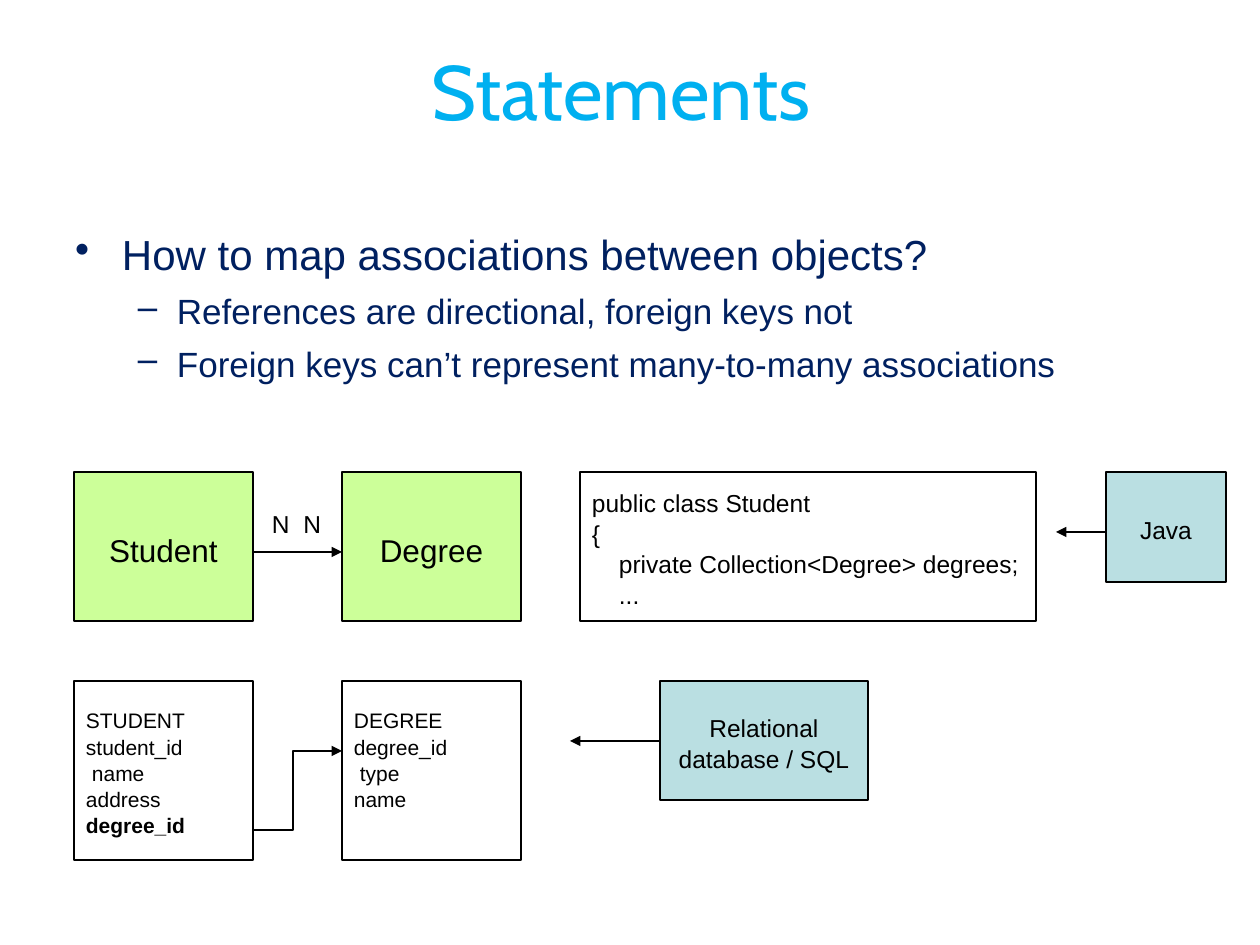
from dataclasses import dataclass
from typing import Any

from lxml.etree import SubElement
from pptx import Presentation
from pptx.dml.color import RGBColor
from pptx.enum.shapes import MSO_CONNECTOR as Link, MSO_SHAPE as Preset
from pptx.enum.text import MSO_ANCHOR as Anchor, MSO_AUTO_SIZE as AutoSize, PP_ALIGN as Align
from pptx.oxml.ns import qn
from pptx.util import Emu, Pt

SCALE = 914400 // 126


@dataclass(frozen=True)
class Theme:
    """Colours, fonts and sizes of the slide."""
    ink: str = "000000"
    title: str = "00B0F0"
    body: str = "002060"
    entity: str = "CCFF99"
    label: str = "BADFE2"
    font: str = "Arial"
    title_font: str = "Cabin"
    title_size: int = 44
    point_size: int = 24
    subpoint_size: int = 20
    entity_size: int = 18
    code_size: int = 14
    table_size: int = 12
    outline: float = 0.75
    arrow: float = 1.1
    spacing: float = 1.04


@dataclass(frozen=True)
class Line:
    """One paragraph, with its indent, bullet and weight."""
    text: str
    indent: int = 0
    hang: int = 0
    bullet: str = ""
    size: int = 0
    before: float = 0
    bold: bool = False


@dataclass(frozen=True)
class Box:
    """A rectangle or, without outline, a plain text box."""
    left: int
    top: int
    width: int
    height: int
    lines: tuple[Line, ...]
    size: int
    inset: int = 0
    margin: int = 0
    fill: str = ""
    colour: str = "000000"
    align: Any = Align.LEFT
    outlined: bool = True


@dataclass(frozen=True)
class Arrow:
    """An arrow between two points, with a bend when its ends differ in height."""
    start: tuple[int, int]
    end: tuple[int, int]
    bend: int = 0


THEME = Theme()


def px(length: int) -> Emu:
    """Turn picture pixels into EMU."""
    return Emu(length * SCALE)


def assign(target: Any, values: dict[str, Any]) -> None:
    """Set attributes from a dict of format values."""
    for name, value in values.items():
        setattr(target, name, value)


def style(font: Any, name: str, size: int, colour: str, bold: bool = False) -> None:
    """Give a font its face, size, weight and colour."""
    assign(font, {"name": name, "size": Pt(size), "bold": bold})
    font.color.rgb = RGBColor.from_string(colour)


def write(frame: Any, box: Box) -> None:
    """Fill a text frame with the lines of a box."""
    assign(frame, {
        "word_wrap": True, "auto_size": AutoSize.NONE, "vertical_anchor": Anchor.TOP,
        "margin_left": px(box.margin), "margin_right": 0,
        "margin_top": px(box.inset), "margin_bottom": 0,
    })
    for index, line in enumerate(box.lines):
        para = frame.add_paragraph() if index else frame.paragraphs[0]
        assign(para, {"alignment": box.align, "line_spacing": THEME.spacing,
                      "space_before": Pt(line.before)})
        properties = para._p.get_or_add_pPr()
        properties.set("marL", str(px(line.indent)))
        properties.set("indent", str(px(-line.hang)))
        if line.bullet:
            SubElement(properties, qn("a:buChar")).set("char", line.bullet)
        span = para.add_run()
        span.text = line.text
        style(span.font, THEME.font, line.size or box.size, box.colour, line.bold)


def draw_box(page: Any, box: Box) -> None:
    """Draw a box and its text."""
    place = [px(n) for n in (box.left, box.top, box.width, box.height)]
    if box.outlined:
        shape = page.shapes.add_shape(Preset.RECTANGLE, *place)
        shape.shadow.inherit = False
        shape.line.color.rgb = RGBColor.from_string(THEME.ink)
        shape.line.width = Pt(THEME.outline)
        if box.fill:
            shape.fill.solid()
            shape.fill.fore_color.rgb = RGBColor.from_string(box.fill)
        else:
            shape.fill.background()
    else:
        shape = page.shapes.add_textbox(*place)
    write(shape.text_frame, box)


def draw_arrow(page: Any, arrow: Arrow) -> None:
    """Draw a connector with a triangular head at its end."""
    kind = Link.ELBOW if arrow.bend else Link.STRAIGHT
    link = page.shapes.add_connector(kind, *(px(n) for n in arrow.start + arrow.end))
    link.line.color.rgb = RGBColor.from_string(THEME.ink)
    link.line.width = Pt(THEME.arrow)
    properties = link._element.spPr
    SubElement(link.line._get_or_add_ln(), qn("a:tailEnd")).set("type", "triangle")
    SubElement(properties, qn("a:effectLst"))
    if arrow.bend:
        guide = SubElement(properties.find(qn("a:prstGeom")).find(qn("a:avLst")), qn("a:gd"))
        share = arrow.bend * 100000 // (arrow.end[0] - arrow.start[0])
        guide.set("name", "adj1")
        guide.set("fmla", f"val {share}")


def draw_title(page: Any, text: str) -> None:
    """Place and format the title."""
    title = page.shapes.title
    assign(title, {"left": px(186), "top": px(43), "width": px(870), "height": px(93)})
    frame = title.text_frame
    assign(frame, {"vertical_anchor": Anchor.MIDDLE, "auto_size": AutoSize.NONE,
                   "margin_left": 0, "margin_right": 0, "margin_top": 0, "margin_bottom": 0})
    para = frame.paragraphs[0]
    para.alignment = Align.CENTER
    span = para.add_run()
    span.text = text
    style(span.font, THEME.title_font, THEME.title_size, THEME.title)


def lines(*texts: str) -> tuple[Line, ...]:
    """Make plain lines."""
    return tuple(Line(text) for text in texts)


def entity(left: int, name: str) -> Box:
    """Make a class box."""
    return Box(left, 472, 179, 149, lines(name), THEME.entity_size, 58,
               fill=THEME.entity, align=Align.CENTER)


def table(left: int, *rows: Line) -> Box:
    """Make a database table box."""
    return Box(left, 681, 179, 179, rows, THEME.table_size, 26, 12)


def label(left: int, top: int, width: int, height: int, inset: int, *texts: str) -> Box:
    """Make a technology label."""
    return Box(left, top, width, height, lines(*texts), THEME.code_size, inset,
               fill=THEME.label, align=Align.CENTER)


def subpoint(text: str) -> Line:
    """Make a second-level bullet."""
    return Line(text, 103, 39, "–", THEME.subpoint_size, 5)


BOXES = (
    Box(74, 227, 983, 195, (
        Line("How to map associations between objects?", 48, 47, "•"),
        subpoint("References are directional, foreign keys not"),
        subpoint("Foreign keys can’t represent many-to-many associations"),
    ), THEME.point_size, colour=THEME.body, outlined=False),
    entity(74, "Student"),
    entity(342, "Degree"),
    Box(272, 508, 56, 32, lines("N  N"), THEME.code_size, outlined=False),
    Box(580, 472, 456, 149, (
        *lines("public class Student", "{"),
        Line("private Collection<Degree> degrees;", 27), Line("...", 27),
    ), THEME.code_size, 15, 12),
    table(74, *lines("STUDENT", "student_id"), Line("name", 6), Line("address"),
          Line("degree_id", bold=True)),
    table(342, *lines("DEGREE", "degree_id"), Line("type", 6), Line("name")),
    label(1106, 472, 120, 110, 42, "Java"),
    label(660, 681, 208, 119, 31, "Relational", "database / SQL"),
)
ARROWS = (
    Arrow((253, 552), (342, 552)),
    Arrow((253, 830), (342, 751), bend=40),
    Arrow((1106, 532), (1056, 532)),
    Arrow((660, 741), (570, 741)),
)


def main() -> None:
    """Build and save the deck."""
    deck = Presentation()
    assign(deck, {"slide_width": px(1260), "slide_height": px(945)})
    page = deck.slides.add_slide(deck.slide_layouts[5])
    draw_title(page, "Statements")
    for box in BOXES:
        draw_box(page, box)
    for arrow in ARROWS:
        draw_arrow(page, arrow)
    deck.save("out.pptx")


main()
